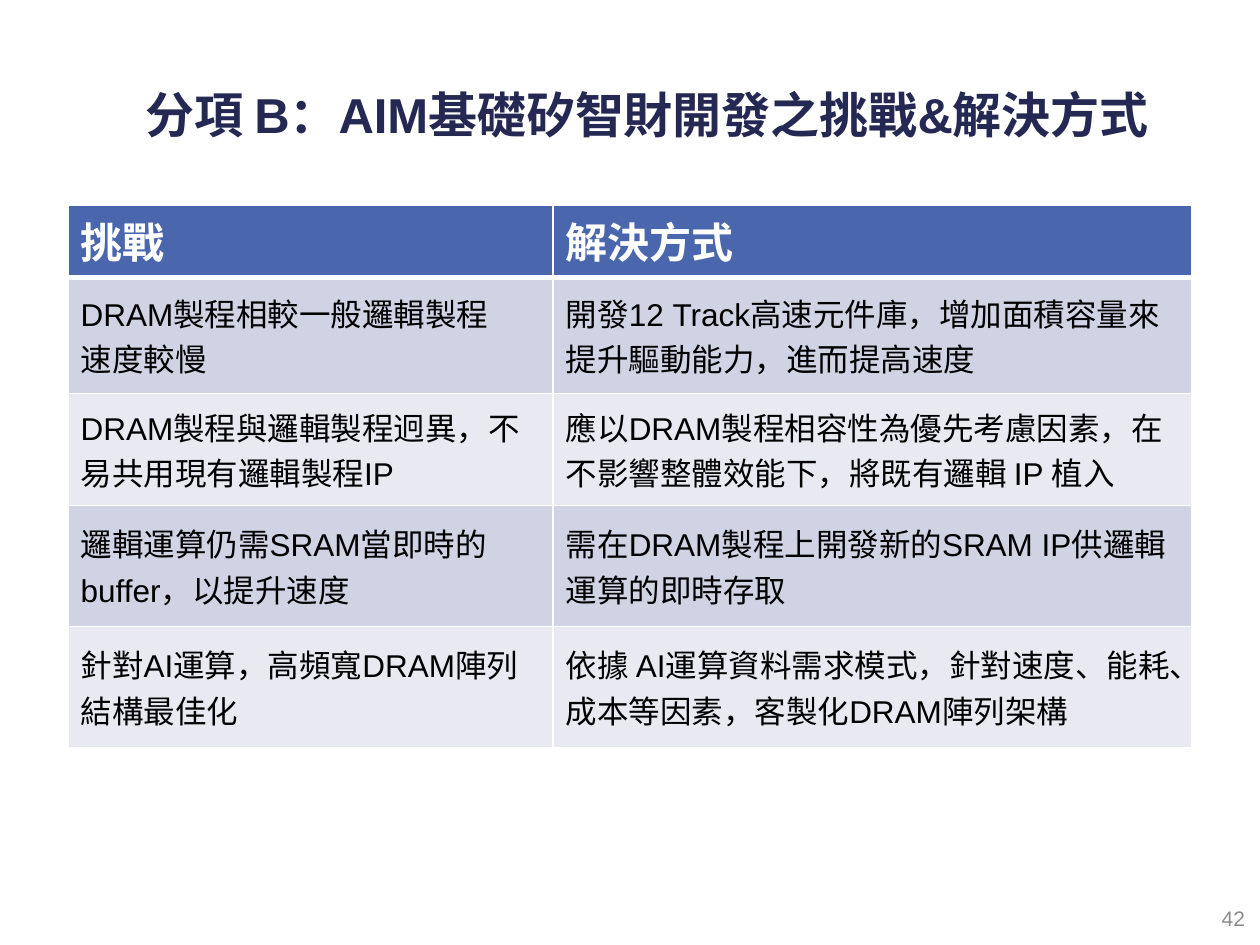
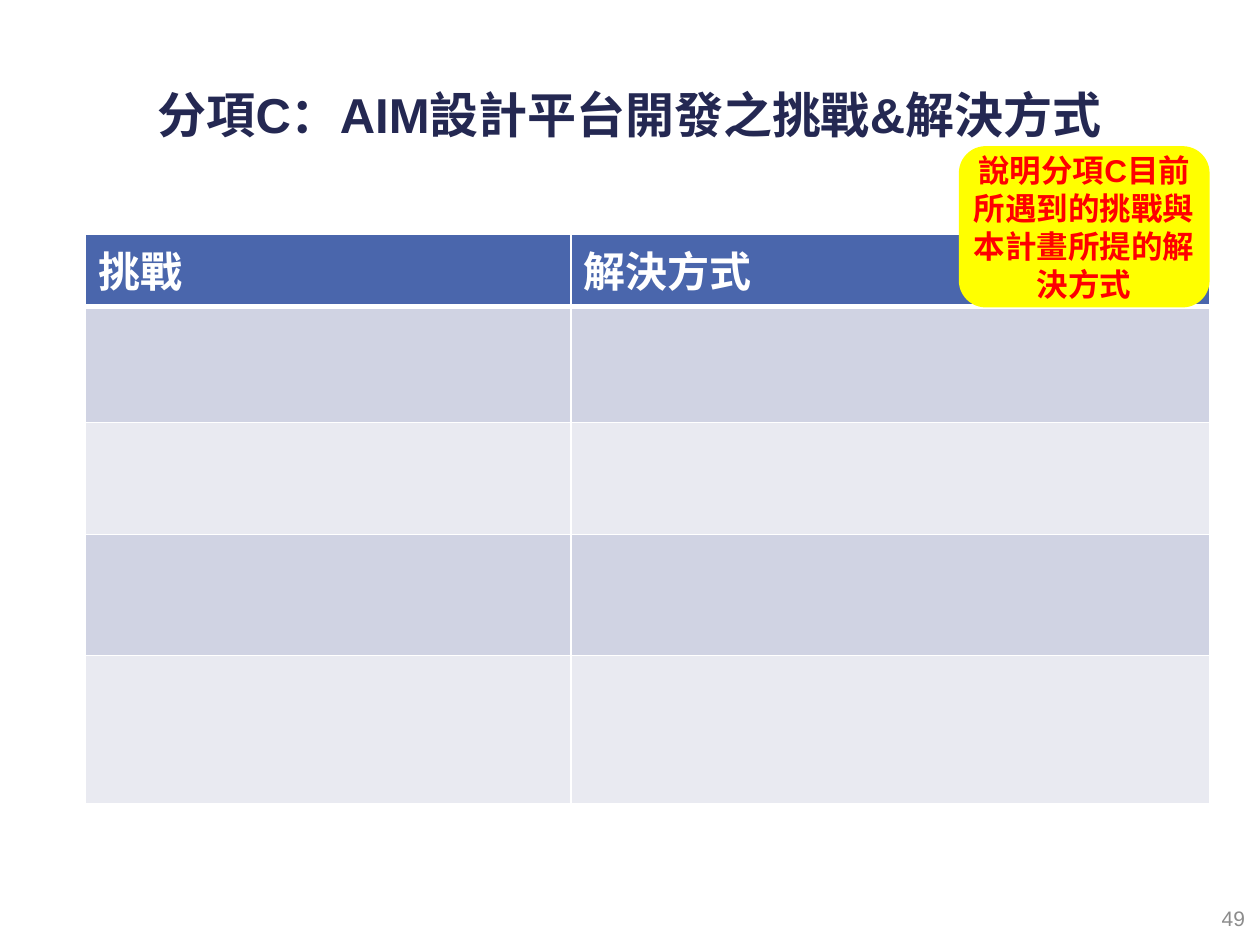
from dataclasses import dataclass

from lxml.etree import SubElement
from pptx import Presentation
from pptx.dml.color import RGBColor
from pptx.enum.shapes import MSO_SHAPE as Shape
from pptx.enum.text import MSO_ANCHOR as Anchor, MSO_AUTO_SIZE as AutoSize, PP_ALIGN as Align
from pptx.oxml.ns import qn
from pptx.util import Inches, Pt


@dataclass(frozen=True)
class Theme:
    """Colours, font and type sizes shared by the slides."""
    font: str = "Arial"
    navy: str = "242852"
    blue: str = "4A66AC"
    dark_band: str = "D0D3E3"
    light_band: str = "E9EAF1"
    white: str = "FFFFFF"
    black: str = "000000"
    grey: str = "8C8C8C"
    yellow: str = "FFFF00"
    red: str = "FF0000"
    title_size: int = 28
    header_size: int = 24
    body_size: int = 18
    number_size: int = 12


THEME = Theme()
HEADER = ("挑戰", "解決方式")
COLUMN_WIDTHS = (3.85, 5.07)
CHALLENGES_B = (
    ("DRAM製程相較一般邏輯製程\n速度較慢",
     "開發12 Track高速元件庫，增加面積容量來提升驅動能力，進而提高速度"),
    ("DRAM製程與邏輯製程迥異，不易共用現有邏輯製程IP",
     "應以DRAM製程相容性為優先考慮因素，在不影響整體效能下，將既有邏輯 IP 植入"),
    ("邏輯運算仍需SRAM當即時的buffer，以提升速度",
     "需在DRAM製程上開發新的SRAM IP供邏輯運算的即時存取"),
    ("針對AI運算，高頻寬DRAM陣列結構最佳化",
     "依據 AI運算資料需求模式，針對速度、能耗、成本等因素，客製化DRAM陣列架構"),
)
CHALLENGES_C = (("", ""),) * 4


def write_text(frame, text, size, color, bold=False, align=Align.LEFT, spacing=None):
    """Fill a text frame with formatted paragraphs, one per line of text."""
    frame.word_wrap = True
    frame.text = text
    for paragraph in frame.paragraphs:
        paragraph.alignment = align
        if spacing:
            paragraph.line_spacing = Pt(spacing)
        font = paragraph.font
        font.name = THEME.font
        font.size = Pt(size)
        font.bold = bold
        font.color.rgb = RGBColor.from_string(color)


def place(shape, left, top, width, height):
    """Move and size a shape, in inches."""
    shape.left, shape.top = Inches(left), Inches(top)
    shape.width, shape.height = Inches(width), Inches(height)


def add_title_slide(presentation, title, left, width, number):
    """Add a slide with its title and page number."""
    slide = presentation.slides.add_slide(presentation.slide_layouts[5])
    heading = slide.shapes.title
    place(heading, left, 0.62, width, 0.62)
    frame = heading.text_frame
    frame.auto_size = AutoSize.NONE
    frame.vertical_anchor = Anchor.TOP
    write_text(frame, title, THEME.title_size, THEME.navy, bold=True,
               align=Align.CENTER, spacing=33.6)
    page = slide.shapes.add_textbox(Inches(7.65), Inches(7.14), Inches(2.33), Inches(0.37))
    write_text(page.text_frame, str(number), THEME.number_size, THEME.grey, align=Align.RIGHT)
    return slide


def set_borders(cell, top=1, bottom=1):
    """Draw white borders round a cell, with widths in points."""
    properties = cell._tc.get_or_add_tcPr()
    for side, width in (("L", 1), ("R", 1), ("T", top), ("B", bottom)):
        line = SubElement(properties, qn(f"a:ln{side}"), w=str(Pt(width)))
        fill = SubElement(line, qn("a:solidFill"))
        SubElement(fill, qn("a:srgbClr"), val=THEME.white)


def fill_cell(cell, color):
    """Give a cell a solid fill."""
    cell.fill.solid()
    cell.fill.fore_color.rgb = RGBColor.from_string(color)


def add_challenge_table(slide, left, top, challenges, row_heights):
    """Add the two-column table of challenges and solutions."""
    rows = (HEADER, *challenges)
    table = slide.shapes.add_table(
        len(rows), len(HEADER), Inches(left), Inches(top),
        Inches(sum(COLUMN_WIDTHS)), Inches(sum(row_heights))).table
    for column, width in zip(table.columns, COLUMN_WIDTHS):
        column.width = Inches(width)
    for index, (texts, height) in enumerate(zip(rows, row_heights)):
        table.rows[index].height = Inches(height)
        for cell, text in zip(table.rows[index].cells, texts):
            set_borders(cell, top=3 if index == 1 else 1, bottom=3 if index == 0 else 1)
            if index == 0:
                fill_cell(cell, THEME.blue)
                write_text(cell.text_frame, text, THEME.header_size, THEME.white,
                           bold=True, spacing=34)
            else:
                fill_cell(cell, THEME.dark_band if index % 2 else THEME.light_band)
                cell.vertical_anchor = Anchor.MIDDLE
                write_text(cell.text_frame, text, THEME.body_size, THEME.black, spacing=26)


def add_callout(slide, text, left, top, width, height):
    """Add a yellow rounded note."""
    note = slide.shapes.add_shape(Shape.ROUNDED_RECTANGLE, Inches(left), Inches(top),
                                  Inches(width), Inches(height))
    note.shadow.inherit = False
    note.fill.solid()
    note.fill.fore_color.rgb = RGBColor.from_string(THEME.yellow)
    note.line.fill.background()
    frame = note.text_frame
    frame.margin_left = frame.margin_right = frame.margin_top = frame.margin_bottom = 0
    frame.vertical_anchor = Anchor.MIDDLE
    write_text(frame, text, THEME.body_size, THEME.red, bold=True,
               align=Align.CENTER, spacing=21.6)


def main():
    """Build and save the presentation."""
    presentation = Presentation()
    presentation.slide_width, presentation.slide_height = Inches(10), Inches(7.5)

    slide = add_title_slide(presentation, "分項 B：AIM基礎矽智財開發之挑戰&解決方式",
                            0.91, 8.45, 42)
    add_challenge_table(slide, 0.54, 1.63, CHALLENGES_B, (0.45, 0.92, 0.89, 0.96, 0.96))

    slide = add_title_slide(presentation, "分項C：AIM設計平台開發之挑戰&解決方式",
                            0.08, 9.83, 49)
    add_challenge_table(slide, 0.68, 1.86, CHALLENGES_C, (0.45, 0.92, 0.89, 0.96, 1.18))
    add_callout(slide, "說明分項C目前所遇到的挑戰與本計畫所提的解決方式",
                7.61, 1.16, 1.99, 1.28)

    presentation.save("out.pptx")


if __name__ == "__main__":
    main()
